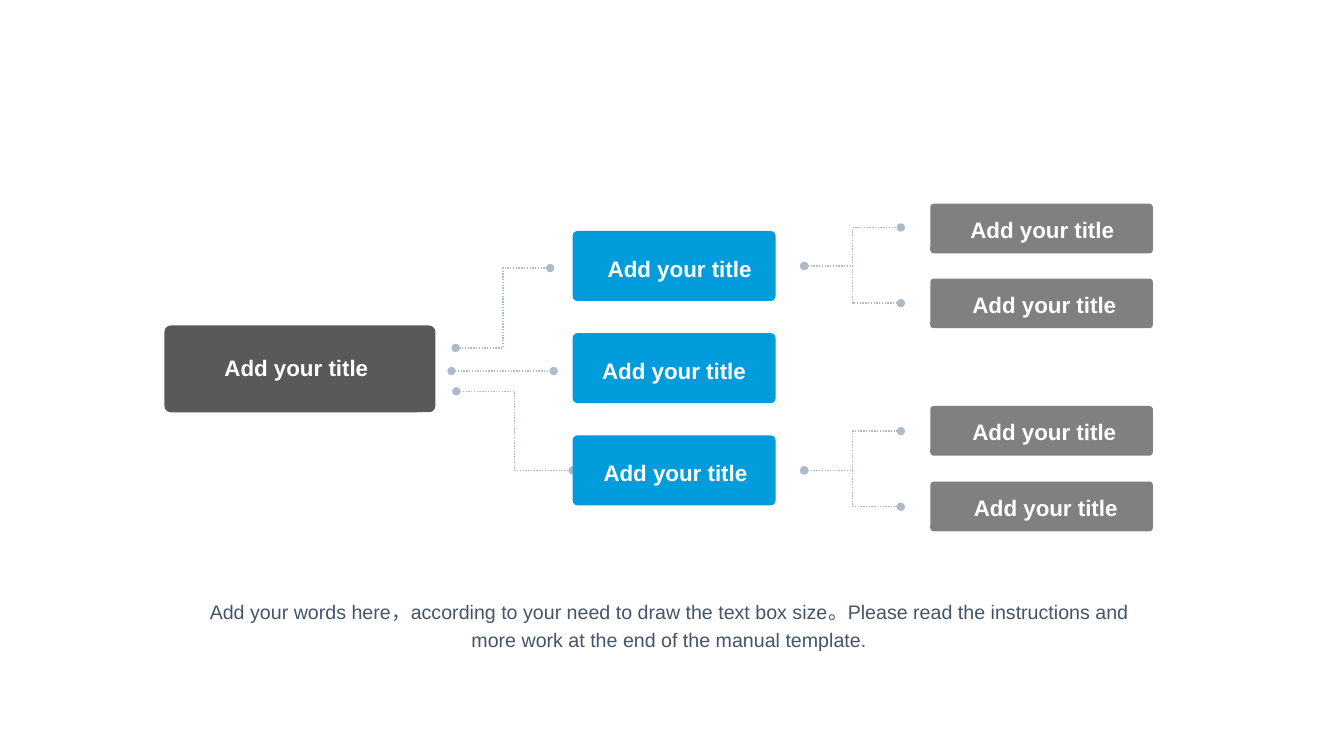
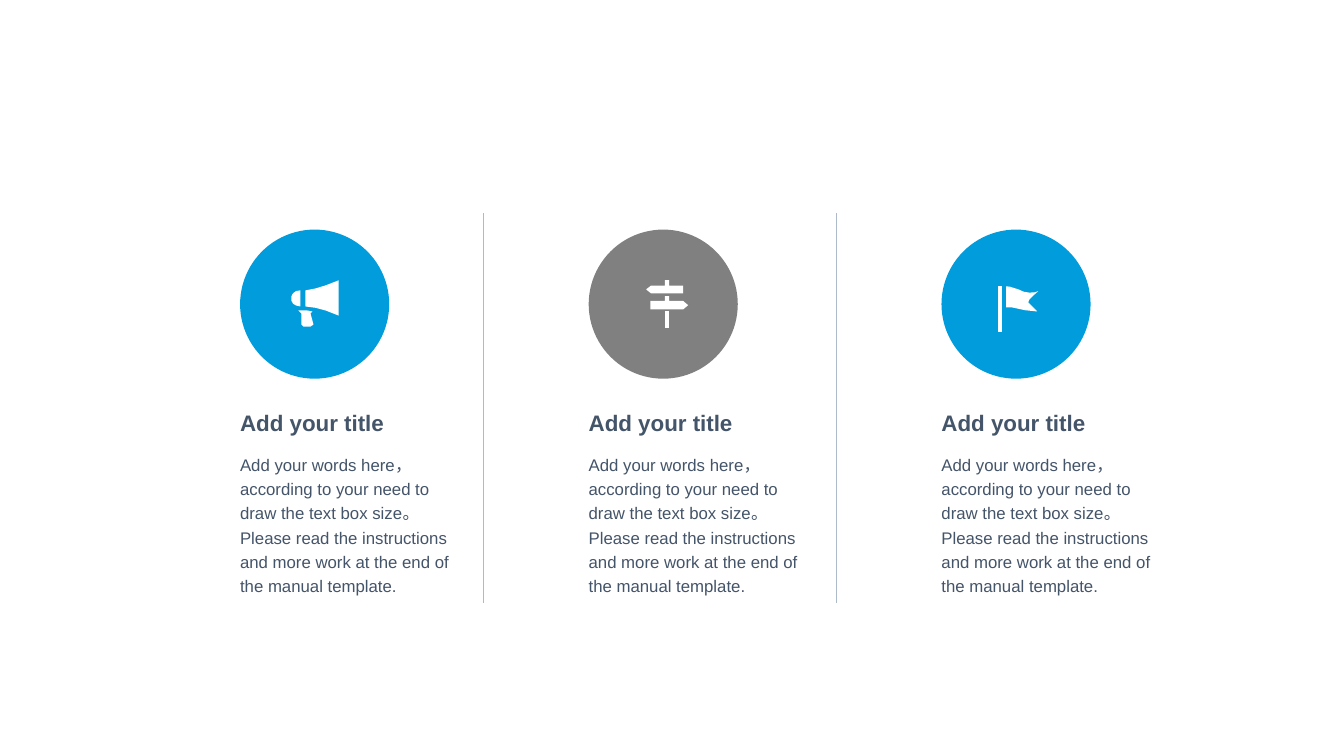
import dataclasses

import lxml.etree
import pptx
import pptx.dml.color
import pptx.enum.dml
import pptx.enum.shapes
import pptx.enum.text
import pptx.oxml.ns
import pptx.util

Pt = pptx.util.Pt
SHAPE = pptx.enum.shapes.MSO_SHAPE
LINK = pptx.enum.shapes.MSO_CONNECTOR
ALIGN = pptx.enum.text.PP_ALIGN
ANCHOR = pptx.enum.text.MSO_ANCHOR
RGB = pptx.dml.color.RGBColor.from_string
qn = pptx.oxml.ns.qn


@dataclasses.dataclass(frozen=True)
class Theme:
    blue: str = "019CDC"
    gray: str = "808080"
    dark: str = "595959"
    ink: str = "445469"
    rule: str = "ADBACA"
    white: str = "FFFFFF"
    font: str = "Arial"
    title: float = 16
    note: float = 14
    body: float = 12


theme = Theme()
TITLE = "Add your title"
BODY = (
    "Add your words here，according to your need to draw the text box size。"
    "Please read the instructions and more work at the end of the manual template."
)


def text(sp, content, size, color=theme.ink, bold=False, align=ALIGN.LEFT,
         anchor=ANCHOR.TOP, spacing=None, inset=(0, 0, 0, 0)):
    tf = sp.text_frame
    tf.word_wrap = True
    tf.vertical_anchor = anchor
    tf.margin_left, tf.margin_top, tf.margin_right, tf.margin_bottom = map(Pt, inset)
    p = tf.paragraphs[0]
    p.alignment = align
    p.line_spacing = spacing
    r = p.add_run()
    r.text = content
    r.font.name = theme.font
    r.font.size = Pt(size)
    r.font.bold = bold
    r.font.color.rgb = RGB(color)


def paint(sp, color):
    sp.shadow.inherit = False
    sp.fill.solid()
    sp.fill.fore_color.rgb = RGB(color)
    sp.line.fill.background()


prs = pptx.Presentation()
prs.slide_width, prs.slide_height = Pt(960), Pt(540)
blank = prs.slide_layouts[6]
tree = prs.slides.add_slide(blank)
columns = prs.slides.add_slide(blank)

links = [
    (tree, LINK.ELBOW, 325.5, 248.5, 393, 191.5),
    (tree, LINK.ELBOW, 326, 279.5, 409, 336),
    (tree, LINK.STRAIGHT, 322.5, 265, 395.5, 265),
]
for start, ends in ((190, (162.5, 216.5)), (336, (308, 362))):
    for end in ends:
        links.append((tree, LINK.ELBOW, 574.5, start, 643.5, end))
for x in (345.5, 597.5):
    links.append((columns, LINK.STRAIGHT, x, 152.5, x, 430.5))

for s, kind, *ends in links:
    c = s.shapes.add_connector(kind, *map(Pt, ends))
    c.line.color.rgb = RGB(theme.rule)
    c.line.width = Pt(1)
    spPr = c._element.spPr
    if s is tree:
        c.line.dash_style = pptx.enum.dml.MSO_LINE.ROUND_DOT
        for tag in ("a:headEnd", "a:tailEnd"):
            lxml.etree.SubElement(spPr.find(qn("a:ln")), qn(tag), type="oval")
    lxml.etree.SubElement(spPr, qn("a:effectLst"))

nodes = [(117.5, 232.5, 193.5, 62, theme.dark, (0, 0, 5, 2))]
for i, nudge in enumerate((8, 0, 2)):
    nodes.append((409, 165 + 73 * i, 145, 50, theme.blue, (nudge, 3, 0, 0)))
for y, nudge in ((145.5, 1), (199, 4), (290, 4), (344, 6)):
    nodes.append((664.5, y, 159, 35.5, theme.gray, (nudge, 1, 0, 0)))

for x, y, w, h, color, inset in nodes:
    sp = tree.shapes.add_shape(SHAPE.ROUNDED_RECTANGLE, Pt(x), Pt(y), Pt(w), Pt(h))
    sp.adjustments[0] = 0.07
    paint(sp, color)
    text(sp, TITLE, theme.title, color=theme.white, bold=True,
         align=ALIGN.CENTER, anchor=ANCHOR.MIDDLE, inset=inset)

sp = tree.shapes.add_textbox(Pt(132.5), Pt(425), Pt(691), Pt(40.5))
text(sp, BODY, theme.note, align=ALIGN.CENTER, spacing=1.2)

megaphone = [
    [(213.1, 221.8), (215.3, 223.9), (215.3, 231.8), (216.7, 233.3), (221.8, 233.3),
     (223.9, 231.8), (221.8, 223.9), (223.2, 222.5), (219.6, 221.8)],
    [(218.2, 218.9), (225.5, 219.9), (232.7, 221.8), (241.9, 225.4), (241.9, 200.2),
     (232.7, 203.8), (225.5, 206), (218.2, 207.4)],
    [(214.6, 218.9), (211.6, 218.3), (209.4, 217), (208.1, 214.7), (208.1, 211.7),
     (209.4, 209.4), (211.6, 207.9), (214.6, 207.4)],
]
signpost = [
    [(475, 222.5), (478, 222.5), (478, 234), (475, 234)],
    [(475, 204), (465, 204), (461.5, 206.7), (465, 209.5), (488, 209.5),
     (488, 204), (478, 204), (478, 200), (475, 200)],
    [(475, 215), (464.5, 215), (464.5, 221), (488, 221), (491.5, 218),
     (488, 215), (478, 215), (478, 211.5), (475, 211.5)],
]
flag = [
    [(734.4, 216), (735.3, 214), (738, 211.2), (741.6, 208), (738.7, 208.9),
     (735, 209), (731.3, 208.4), (727.2, 206.6), (721.3, 204.8), (718.6, 204.5),
     (718.6, 219.6), (722.9, 219.6), (732.2, 221.6), (740.9, 222.5)],
    [(713, 204.5), (716, 204.5), (716, 237.5), (713, 237.5)],
]

for x, color, icon in (
    (171.5, theme.blue, megaphone),
    (420.5, theme.gray, signpost),
    (672.5, theme.blue, flag),
):
    sp = columns.shapes.add_shape(SHAPE.OVAL, Pt(x), Pt(164), Pt(106.5), Pt(106.5))
    paint(sp, color)
    group = columns.shapes.add_group_shape()
    for (x0, y0), *rest in icon:
        outline = group.shapes.build_freeform(Pt(x0), Pt(y0))
        outline.add_line_segments([(Pt(px), Pt(py)) for px, py in rest])
        paint(outline.convert_to_shape(), theme.white)
    sp = columns.shapes.add_textbox(Pt(x), Pt(292.5), Pt(120), Pt(19.5))
    text(sp, TITLE, theme.title, bold=True)
    sp = columns.shapes.add_textbox(Pt(x), Pt(322), Pt(160), Pt(104.5))
    text(sp, BODY, theme.body, spacing=1.2)

prs.save("out.pptx")
